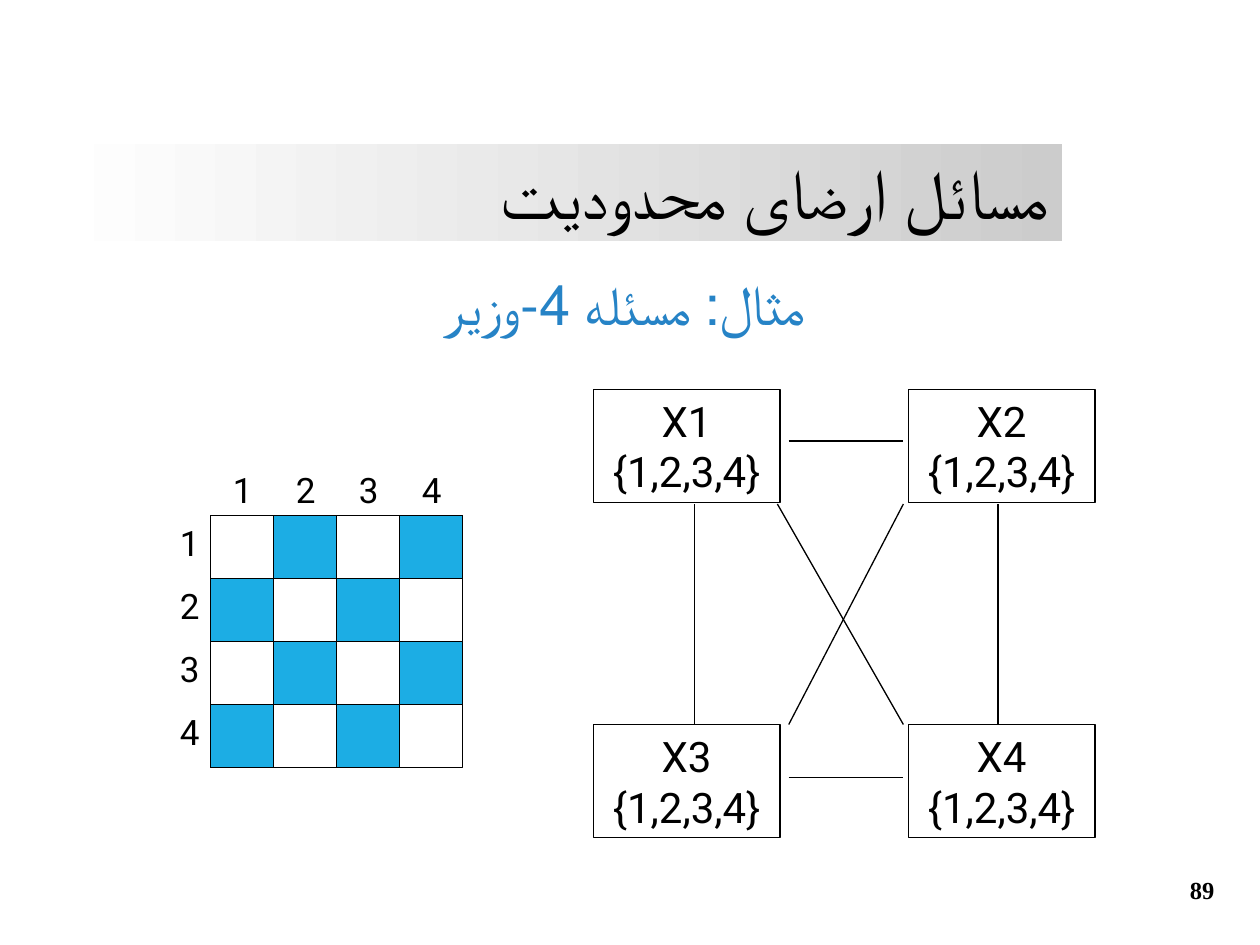
from lxml import etree
from pptx import Presentation
from pptx.dml.color import RGBColor
from pptx.enum.shapes import MSO_CONNECTOR, MSO_SHAPE
from pptx.enum.text import MSO_ANCHOR, MSO_AUTO_SIZE, PP_ALIGN
from pptx.oxml.ns import qn
from pptx.util import Inches, Pt

RECT = MSO_SHAPE.RECTANGLE
STRAIGHT = MSO_CONNECTOR.STRAIGHT
LEFT, CENTER, RIGHT = PP_ALIGN.LEFT, PP_ALIGN.CENTER, PP_ALIGN.RIGHT
TOP, MIDDLE = MSO_ANCHOR.TOP, MSO_ANCHOR.MIDDLE
GROW = MSO_AUTO_SIZE.SHAPE_TO_FIT_TEXT

COLORS = {"black": "000000", "white": "FFFFFF", "gray": "CCCCCC",
          "cell": "1CADE4", "subtitle": "2683C6"}


def rgb(name):
    return RGBColor.from_string(COLORS[name])


def add_text(x, y, w, h, text, size=20, font="Roboto", color="black", bold=False,
             align=LEFT, anchor=TOP, wrap=False, rtl=False, autosize=GROW,
             shape=None, fill=None, line=None):
    """Add a text box, or a preset shape when one is given."""
    box = [Inches(v) for v in (x, y, w, h)]
    if shape is None:
        sp = s.shapes.add_textbox(*box)
    else:
        sp = s.shapes.add_shape(shape, *box)
        sp.shadow.inherit = False
        if fill:
            sp.fill.solid()
            sp.fill.fore_color.rgb = rgb(fill)
        else:
            sp.fill.background()
        if line:
            sp.line.color.rgb = rgb(line)
            sp.line.width = Pt(0.75)
        else:
            sp.line.fill.background()
    if text:
        tf = sp.text_frame
        tf.word_wrap = wrap
        tf.auto_size = autosize
        tf.vertical_anchor = anchor
        for i, part in enumerate(text.split("\n")):
            p = tf.paragraphs[0] if i == 0 else tf.add_paragraph()
            p.alignment = align
            if rtl:
                p._p.get_or_add_pPr().set("rtl", "1")
            r = p.add_run()
            r.text = part
            r.font.size = Pt(size)
            r.font.name = font
            r.font.bold = bold
            r.font.color.rgb = rgb(color)
    return sp


prs = Presentation()
prs.slide_width, prs.slide_height = Inches(10), Inches(7.5)
s = prs.slides.add_slide(prs.slide_layouts[6])

# Slide number
add_text(9.28, 6.86, 0.52, 0.4, "89", size=14, font="Times New Roman", bold=True,
         align=CENTER, anchor=MIDDLE, wrap=True, autosize=MSO_AUTO_SIZE.NONE)

# Chessboard with row and column numbers
N, CELL, BOARD_X, BOARD_Y = 4, 0.5, 1.67, 4.09
add_text(BOARD_X, BOARD_Y, N * CELL, N * CELL, "", shape=RECT, line="black")
for row in range(N):
    for col in range(N):
        if (row + col) % 2:
            add_text(BOARD_X + col * CELL, BOARD_Y + row * CELL, CELL, CELL, "",
                     shape=RECT, fill="cell", line="black")
for i in range(N):
    add_text(BOARD_X - 0.34, BOARD_Y + i * CELL, 0.36, 0.44, str(i + 1))
    add_text(BOARD_X + 0.08 + i * CELL, BOARD_Y - 0.42, 0.36, 0.44, str(i + 1))

# Variables with their domains
for i in range(4):
    add_text(4.71 + i % 2 * 2.5, 3.09 + i // 2 * 2.66, 1.48, 0.9,
             f"X{i + 1}\n{{1,2,3,4}}", size=24, align=CENTER, shape=RECT, line="black")

# Constraints between the variables
constraints = [
    (6.26, 3.5, 7.17, 3.5), (6.26, 6.17, 7.17, 6.17),
    (5.51, 4, 5.51, 5.75), (7.92, 4, 7.92, 5.75),
    (6.17, 4, 7.17, 5.75), (7.17, 4, 6.26, 5.75),
]
for ends in constraints:
    cn = s.shapes.add_connector(STRAIGHT, *[Inches(v) for v in ends])
    cn.line.color.rgb = rgb("black")
    cn.line.width = Pt(0.75)
    etree.SubElement(cn._element.spPr, qn("a:effectLst"))

# Title on a gradient band
title = add_text(0.43, 1.14, 8, 0.77, "مسائل ارضای محدوديت", size=40,
                 font="Times New Roman", align=RIGHT, wrap=True, shape=RECT)
title.fill.gradient()
title.fill.gradient_angle = 0
for stop, name in zip(title.fill.gradient_stops, ("white", "gray")):
    stop.color.rgb = rgb(name)

# Subtitle
add_text(0.98, 2.09, 7.95, 0.64, "مثال: مسئله 4-وزير", size=32, font="Noto Sans Mono",
         color="subtitle", align=CENTER, wrap=True, rtl=True)

prs.save("out.pptx")
